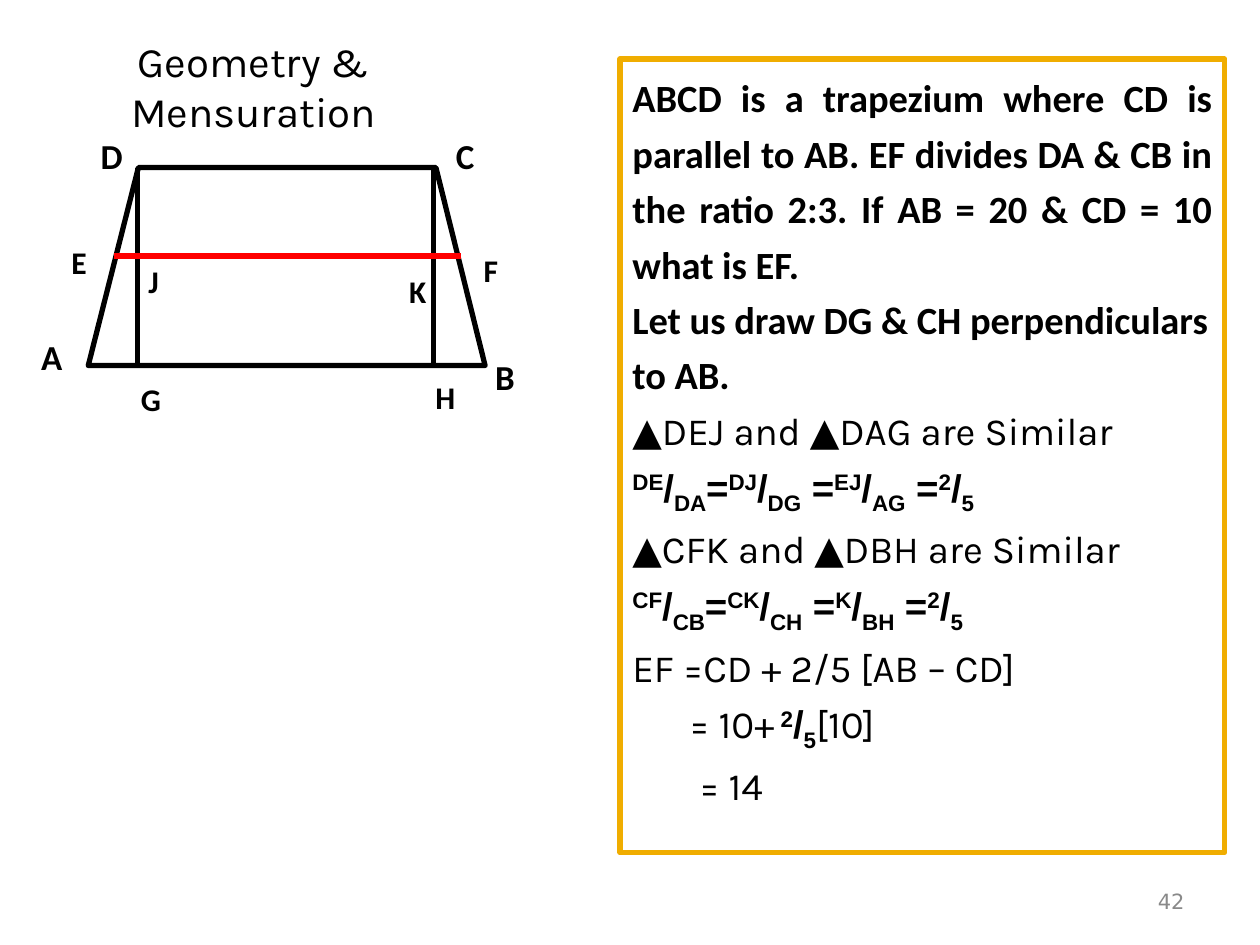
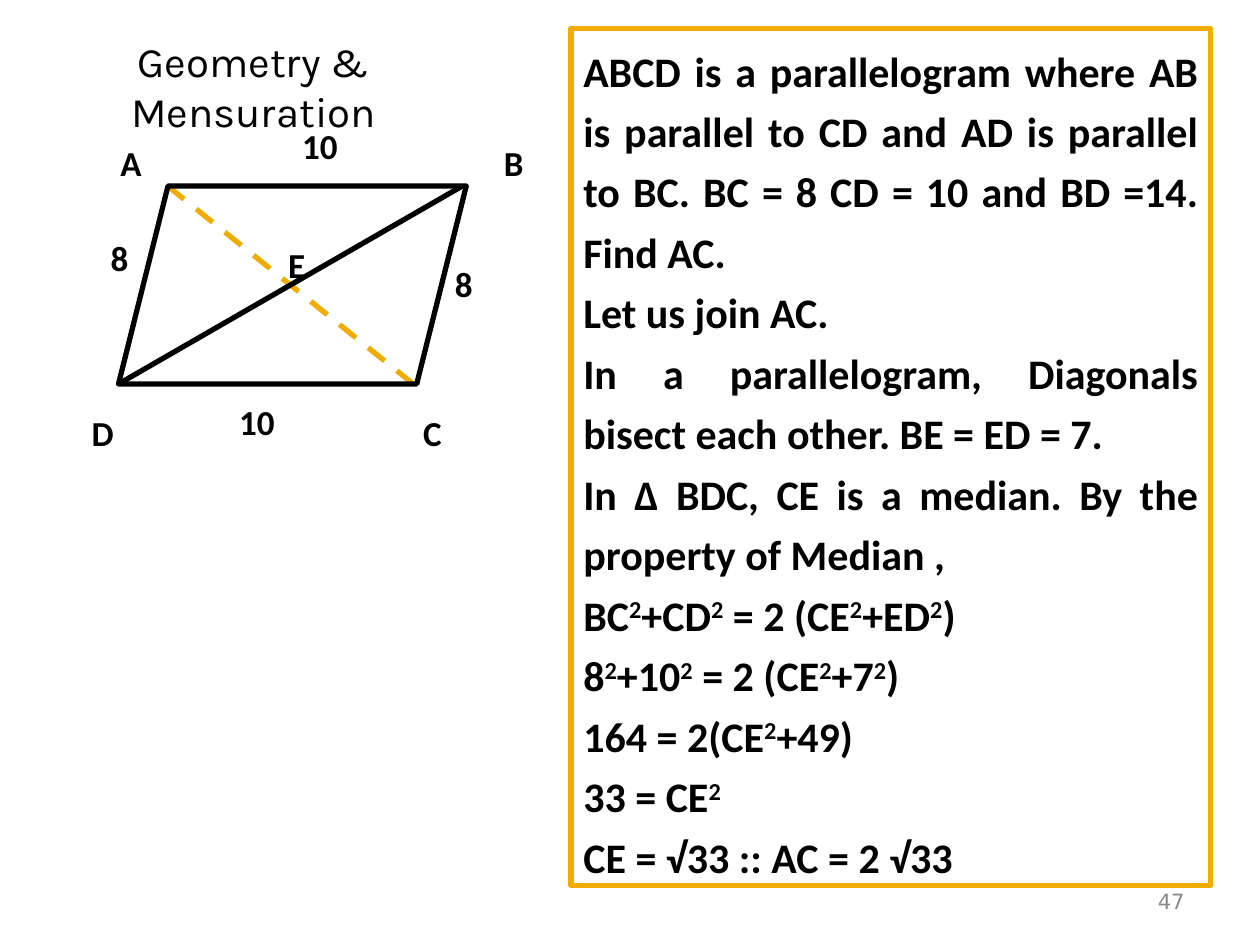
import pptx
import pptx.dml.color
import pptx.enum.dml
import pptx.enum.shapes
import pptx.enum.text
import pptx.oxml.ns
import pptx.util
from lxml import etree

Cm = pptx.util.Cm
Pt = pptx.util.Pt
RGBColor = pptx.dml.color.RGBColor
ALIGN = pptx.enum.text.PP_ALIGN
ANCHOR = pptx.enum.text.MSO_ANCHOR
SHAPE = pptx.enum.shapes.MSO_SHAPE

BLACK = RGBColor(0x00, 0x00, 0x00)
RED = RGBColor(0xFF, 0x00, 0x00)
AMBER = RGBColor(0xF0, 0xAD, 0x00)
GREY = RGBColor(0x89, 0x89, 0x89)

BODY_FONT = "Calibri"
TITLE_FONT = "Karla"
FRACTION_FONT = "Arial"
NUMBER_FONT = "DejaVu Sans"
SUPERSCRIPT, SUBSCRIPT = 30, -25
LINE_WIDTH = Pt(3)
TITLE_ONLY = 5


def add_run(p, text, size, font=BODY_FONT, bold=True, color=BLACK, baseline=0):
    r = p.add_run()
    r.text = text
    r.font.size = Pt(size)
    r.font.name = font
    r.font.bold = bold
    r.font.color.rgb = color
    if baseline:
        r.font._element.set("baseline", str(baseline * 1000))


def add_text(slide, text, left, top, width, height, size, **style):
    sp = slide.shapes.add_textbox(Cm(left), Cm(top), Cm(width), Cm(height))
    sp.text_frame.word_wrap = True
    add_run(sp.text_frame.paragraphs[0], text, size, **style)
    return sp


def add_slide(prs, number):
    """Add a slide with the shared title and its page number."""
    slide = prs.slides.add_slide(prs.slide_layouts[TITLE_ONLY])
    title = slide.shapes.title
    title.left, title.top, title.width, title.height = Cm(0.41), Cm(0.58), Cm(9.4), Cm(1.19)
    tf = title.text_frame
    tf.vertical_anchor = ANCHOR.TOP
    tf.auto_size = pptx.enum.text.MSO_AUTO_SIZE.NONE
    tf.word_wrap = True
    tf.paragraphs[0].alignment = ALIGN.CENTER
    add_run(tf.paragraphs[0], "Geometry & Mensuration", 24, TITLE_FONT, bold=False)

    page = add_text(slide, str(number), 18.21, 17.65, 5.92, 1.02, 12,
                    font=NUMBER_FONT, bold=False, color=GREY)
    page.text_frame.vertical_anchor = ANCHOR.MIDDLE
    page.text_frame.paragraphs[0].alignment = ALIGN.RIGHT
    return slide


def outline(sp, color=BLACK):
    sp.shadow.inherit = False
    sp.fill.background()
    sp.line.color.rgb = color
    sp.line.width = LINE_WIDTH


def add_line(slide, start, end, color=BLACK, dashed=False):
    ends = [Cm(v) for v in (*start, *end)]
    line = slide.shapes.add_connector(pptx.enum.shapes.MSO_CONNECTOR.STRAIGHT, *ends)
    line.line.color.rgb = color
    line.line.width = LINE_WIDTH
    if dashed:
        line.line.dash_style = pptx.enum.dml.MSO_LINE.DASH
    etree.SubElement(line._element.spPr, pptx.oxml.ns.qn("a:effectLst"))


def add_polygon(slide, points):
    corners = [(Cm(x), Cm(y)) for x, y in points]
    builder = slide.shapes.build_freeform(*corners[0])
    builder.add_line_segments(corners[1:], close=True)
    outline(builder.convert_to_shape())


def add_labels(slide, labels, size):
    for text, left, top in labels:
        add_text(slide, text, left, top, 0.5 + 0.4 * len(text), 1.1, size)


def add_panel(slide, left, top, width, height, size, paragraphs):
    """Add a framed solution; a paragraph is (alignment, indent in cm, runs)."""
    sp = slide.shapes.add_shape(SHAPE.RECTANGLE, Cm(left), Cm(top), Cm(width), Cm(height))
    outline(sp, AMBER)
    tf = sp.text_frame
    tf.word_wrap = True
    tf.vertical_anchor = ANCHOR.TOP
    for i, (alignment, indent, runs) in enumerate(paragraphs):
        p = tf.add_paragraph() if i else tf.paragraphs[0]
        p.alignment = alignment
        p.line_spacing = 1.2
        if indent:
            p._p.get_or_add_pPr().set("marL", str(Cm(indent)))
        for text, style in runs:
            add_run(p, text, size, **style)


def bold(text):
    return [(text, {})]


def plain(text):
    return [(text, {"font": TITLE_FONT, "bold": False})]


def fraction(top, bottom):
    parts = ((top, SUPERSCRIPT), ("/", 0), (bottom, SUBSCRIPT))
    return [(text, {"font": FRACTION_FONT, "baseline": level}) for text, level in parts]


def ratios(*pairs):
    """Runs of equal side ratios, all equal to 2/5."""
    runs = fraction(*pairs[0])
    for sign, pair in zip(("=", " =", " ="), (*pairs[1:], ("2", "5"))):
        runs += [(sign, {"font": FRACTION_FONT})] + fraction(*pair)
    return runs


def squares(text):
    """Runs of a formula in which ^ marks a square."""
    first, *rest = text.split("^")
    runs = bold(first)
    for part in rest:
        runs.append(("2", {"baseline": SUPERSCRIPT}))
        if part:
            runs += bold(part)
    return runs


def trapezium_slide(prs):
    slide = add_slide(prs, 42)
    top, base = 3.38, 7.37
    add_polygon(slide, [(1.78, base), (2.79, top), (8.79, top), (9.78, base)])
    for x in (2.77, 8.74):
        add_line(slide, (x, top), (x, base))
    add_line(slide, (2.29, 5.16), (9.3, 5.16), RED)
    add_labels(slide, [("A", 0.58, 6.63), ("D", 1.78, 2.59),
                       ("C", 8.94, 2.59), ("B", 9.73, 7.04)], 20)
    add_labels(slide, [("E", 1.19, 4.78), ("F", 9.5, 4.93), ("J", 2.74, 5.16),
                       ("K", 8, 5.36), ("G", 2.59, 7.54), ("H", 8.53, 7.49)], 18)
    add_panel(slide, 12.5, 1.19, 12.19, 16, 22, [
        (ALIGN.JUSTIFY, 0, bold("ABCD is a trapezium where CD is parallel to AB. EF divides "
                                "DA & CB in the ratio 2:3. If AB = 20 & CD = 10 what is EF.")),
        (ALIGN.LEFT, 0, bold("Let us draw DG & CH perpendiculars to AB.")),
        (ALIGN.LEFT, 0, plain("▲DEJ and ▲DAG are Similar")),
        (ALIGN.LEFT, 0, ratios(("DE", "DA"), ("DJ", "DG"), ("EJ", "AG"))),
        (ALIGN.LEFT, 0, plain("▲CFK and ▲DBH are Similar")),
        (ALIGN.LEFT, 0, ratios(("CF", "CB"), ("CK", "CH"), ("K", "BH"))),
        (ALIGN.LEFT, 0, plain("EF =CD + 2/5 [AB – CD]")),
        (ALIGN.LEFT, 1.15, plain("= 10+") + fraction(" 2", "5") + plain("[10]")),
        (ALIGN.LEFT, 1.35, plain("= 14")),
    ])


def parallelogram_slide(prs):
    slide = add_slide(prs, 47)
    solution = [
        "ABCD is a parallelogram where AB is parallel to CD and AD is parallel to BC. "
        "BC = 8 CD = 10 and BD =14. Find AC.",
        "Let us join AC.",
        "In a parallelogram, Diagonals bisect each other. BE = ED = 7.",
        "In ∆ BDC, CE is a median. By the property of Median ,",
        "BC^+CD^ = 2 (CE^+ED^)",
        "8^+10^ = 2 (CE^+7^)",
        "164 = 2(CE^+49)",
        "33 = CE^",
        "CE = √33 :: AC = 2 √33",
    ]
    add_panel(slide, 11.51, 0.58, 12.9, 17.27, 24,
              [(ALIGN.JUSTIFY, 0, squares(text)) for text in solution])

    top, base = 3.75, 7.74
    add_line(slide, (8.33, base), (3.38, top), AMBER, dashed=True)
    sp = slide.shapes.add_shape(SHAPE.PARALLELOGRAM, Cm(2.39), Cm(top), Cm(7.01), Cm(base - top))
    sp.adjustments[0] = 0.25
    outline(sp)
    add_line(slide, (2.39, base), (9.32, top))
    add_labels(slide, [("A", 2.18, 2.72), ("B", 9.91, 2.72), ("C", 8.28, 8.18),
                       ("D", 1.6, 8.18), ("8", 8.92, 5.16), ("8", 1.98, 4.65),
                       ("10", 5.84, 2.39), ("E", 5.56, 4.78), ("10", 4.57, 7.95)], 20)


def main():
    prs = pptx.Presentation()
    prs.slide_width, prs.slide_height = Cm(25.4), Cm(19.05)
    trapezium_slide(prs)
    parallelogram_slide(prs)
    prs.save("out.pptx")


if __name__ == "__main__":
    main()
